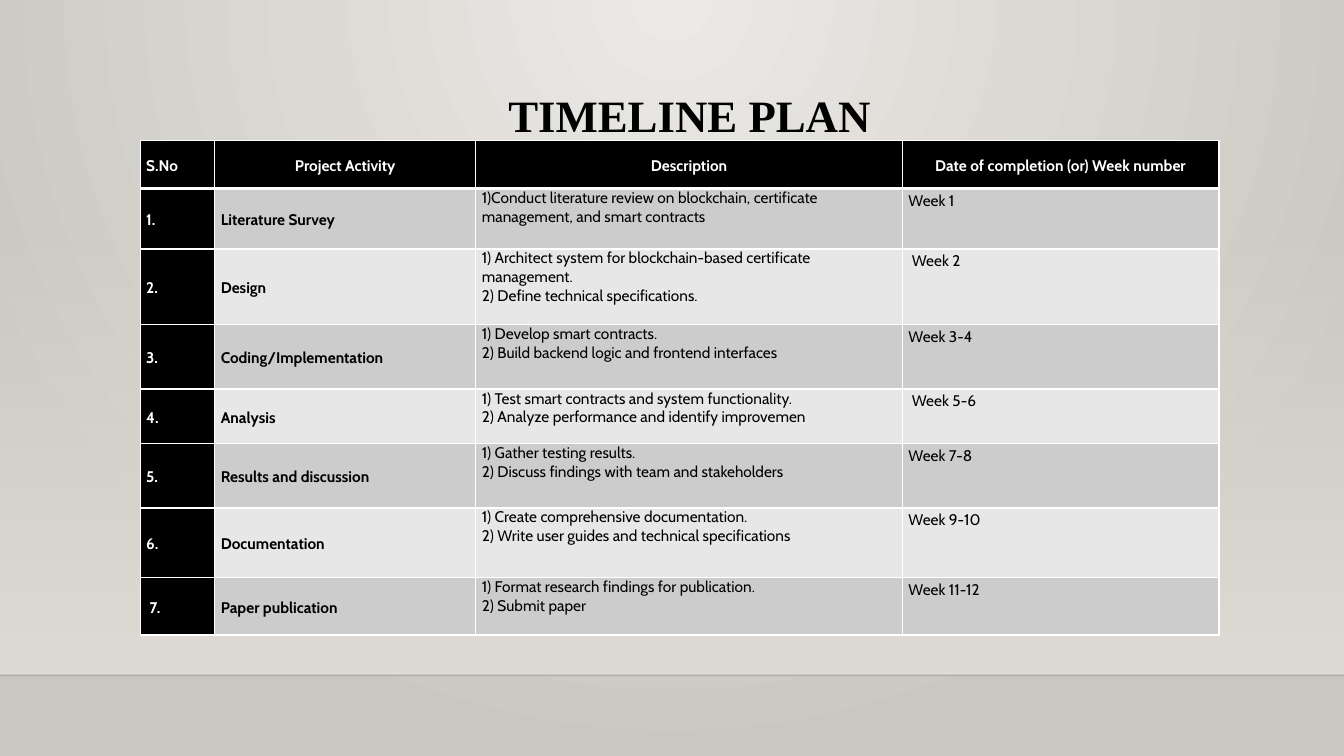
from pptx import Presentation
from pptx.dml.color import RGBColor
from pptx.enum.shapes import MSO_CONNECTOR, MSO_SHAPE
from pptx.enum.text import MSO_ANCHOR as ANCHOR, PP_ALIGN as ALIGN
from pptx.oxml import parse_xml
from pptx.oxml.ns import nsdecls, qn
from pptx.util import Inches, Pt

BLACK, WHITE = "000000", "FFFFFF"
BANDS = ["CCCCCC", "E7E7E7"]
COLUMN_WIDTHS = [0.74, 2.59, 4.23, 3.14]
ROW_HEIGHTS = [0.48, 0.6, 0.75, 0.64, 0.54, 0.64, 0.69, 0.57]
HEADERS = ["S.No", "Project Activity", "Description", "Date of completion (or) Week number"]
ACTIVITIES = [
    ("1.", "Literature Survey",
     "1)Conduct literature review on blockchain, certificate management, and smart contracts",
     "Week 1"),
    ("2.", "Design",
     "1) Architect system for blockchain-based certificate management.\n"
     "2) Define technical specifications.", " Week 2"),
    ("3.", "Coding/Implementation",
     "1) Develop smart contracts.\n2) Build backend logic and frontend interfaces", "Week 3-4"),
    ("4.", "Analysis",
     "1) Test smart contracts and system functionality.\n"
     "2) Analyze performance and identify improvemen", " Week 5-6"),
    ("5.", "Results and discussion",
     "1) Gather testing results.\n2) Discuss findings with team and stakeholders", "Week 7-8"),
    ("6.", "Documentation",
     "1) Create comprehensive documentation.\n"
     "2) Write user guides and technical specifications", "Week 9-10"),
    (" 7.", "Paper publication",
     "1) Format research findings for publication.\n2) Submit paper", "Week 11-12"),
]
RADIAL_FROM_TOP = '<a:path path="circle"><a:fillToRect l="43000" t="0" r="43000" b="100000"/></a:path>'
DOWNWARD = '<a:lin ang="5400000" scaled="0"/>'


def rgb(hex_color):
    return RGBColor.from_string(hex_color)


def set_all(target, values):
    for name, value in values.items():
        setattr(target, name, value)


def set_gradient(fill, owner, stops, direction):
    """Give fill, found inside the XML element owner, stops of (percent, color, opacity)."""
    fill.gradient()
    stop_xml = "".join(
        f'<a:gs pos="{position * 1000}"><a:srgbClr val="{color}">'
        f'<a:alpha val="{opacity * 1000}"/></a:srgbClr></a:gs>'
        for position, color, opacity in stops)
    gradient = next(owner.iter(qn("a:gradFill")))
    gradient.getparent().replace(gradient, parse_xml(
        f'<a:gradFill {nsdecls("a")} rotWithShape="1"><a:gsLst>{stop_xml}</a:gsLst>'
        f'{direction}</a:gradFill>'))


class SlideBuilder:
    body_font = {"name": "Cabin", "size": Pt(11)}
    title_font = {"name": "Times New Roman", "size": Pt(32), "bold": True}
    spaced = {"line_spacing": 1.15, "space_after": Pt(10)}
    cell_layout = {"margin_left": Inches(0.06), "margin_right": Inches(0.06),
                   "margin_top": 0, "margin_bottom": 0}

    def __init__(self, presentation):
        self.slide = presentation.slides.add_slide(presentation.slide_layouts[6])

    def background(self, stops):
        background = self.slide.background
        set_gradient(background.fill, self.slide.element, stops, RADIAL_FROM_TOP)

    def gradient_band(self, left, top, width, height, stops):
        shape = self.slide.shapes.add_shape(
            MSO_SHAPE.RECTANGLE, Inches(left), Inches(top), Inches(width), Inches(height))
        shape.shadow.inherit = False
        shape.line.fill.background()
        set_gradient(shape.fill, shape.element, stops, DOWNWARD)

    def horizontal_line(self, left, right, y, color, width, opacity):
        line = self.slide.shapes.add_connector(
            MSO_CONNECTOR.STRAIGHT, Inches(left), Inches(y), Inches(right), Inches(y))
        line.line.color.rgb = rgb(color)
        line.line.width = Pt(width)
        color_element = next(line.element.spPr.iter(qn("a:srgbClr")))
        color_element.append(parse_xml(f'<a:alpha {nsdecls("a")} val="{opacity * 1000}"/>'))
        line.element.spPr.append(parse_xml(f'<a:effectLst {nsdecls("a")}/>'))

    def title(self, text, left, top, width, height):
        box = self.slide.shapes.add_textbox(
            Inches(left), Inches(top), Inches(width), Inches(height))
        box.text_frame.word_wrap = True
        box.text_frame.text = text
        paragraph = box.text_frame.paragraphs[0]
        set_all(paragraph, {"alignment": ALIGN.CENTER, "line_spacing": 0.9})
        self.style_font(paragraph.runs[0].font, self.title_font, BLACK)

    def style_font(self, font, values, color):
        set_all(font, values)
        font.color.rgb = rgb(color)

    def table(self, left, top, column_widths, row_heights, rows):
        table = self.slide.shapes.add_table(
            len(rows), len(column_widths), Inches(left), Inches(top),
            Inches(sum(column_widths)), Inches(sum(row_heights))).table
        for column, width in zip(table.columns, column_widths):
            column.width = Inches(width)
        for row, height in zip(table.rows, row_heights):
            row.height = Inches(height)
        for row_index, texts in enumerate(rows):
            for column_index, text in enumerate(texts):
                self.cell(table.cell(row_index, column_index), text, row_index, column_index)

    def cell(self, cell, text, row, column):
        is_header = row == 0
        is_dark = is_header or column == 0
        is_bold = is_header or column < 2
        set_all(cell, self.cell_layout)
        cell.vertical_anchor = ANCHOR.MIDDLE if is_bold else ANCHOR.TOP
        cell.fill.solid()
        cell.fill.fore_color.rgb = rgb(BLACK if is_dark else BANDS[(row - 1) % 2])
        cell.text = text
        for paragraph in cell.text_frame.paragraphs:
            paragraph.alignment = ALIGN.CENTER if is_header and column else ALIGN.LEFT
            if is_header or column != 2:
                set_all(paragraph, self.spaced)
            self.style_font(paragraph.runs[0].font, self.body_font | {"bold": is_bold},
                            WHITE if is_dark else BLACK)
        widths = {"L": 1, "R": 1, "T": 3 if row == 1 else 1, "B": 3 if is_header else 1}
        self.cell_borders(cell, widths)

    def cell_borders(self, cell, widths):
        properties = cell._tc.get_or_add_tcPr()
        for index, (side, width) in enumerate(widths.items()):
            properties.insert(index, parse_xml(
                f'<a:ln{side} {nsdecls("a")} w="{Pt(width)}"><a:solidFill>'
                f'<a:srgbClr val="{WHITE}"/></a:solidFill></a:ln{side}>'))


def main():
    presentation = Presentation()
    presentation.slide_width = Inches(13.33)
    presentation.slide_height = Inches(7.5)
    builder = SlideBuilder(presentation)
    builder.background([(0, "ECEAE7", 100), (100, "CAC7C1", 100)])
    builder.gradient_band(0, 2.21, 13.33, 4.49, [(0, "DFDBD5", 0), (100, "DFDBD5", 100)])
    builder.horizontal_line(0, 13.33, 6.7, "000001", 1, 20)
    builder.title("TIMELINE PLAN", 1.59, 0.88, 10.5, 1.15)
    builder.table(1.39, 1.39, COLUMN_WIDTHS, ROW_HEIGHTS, [HEADERS, *ACTIVITIES])
    presentation.save("out.pptx")


if __name__ == "__main__":
    main()
